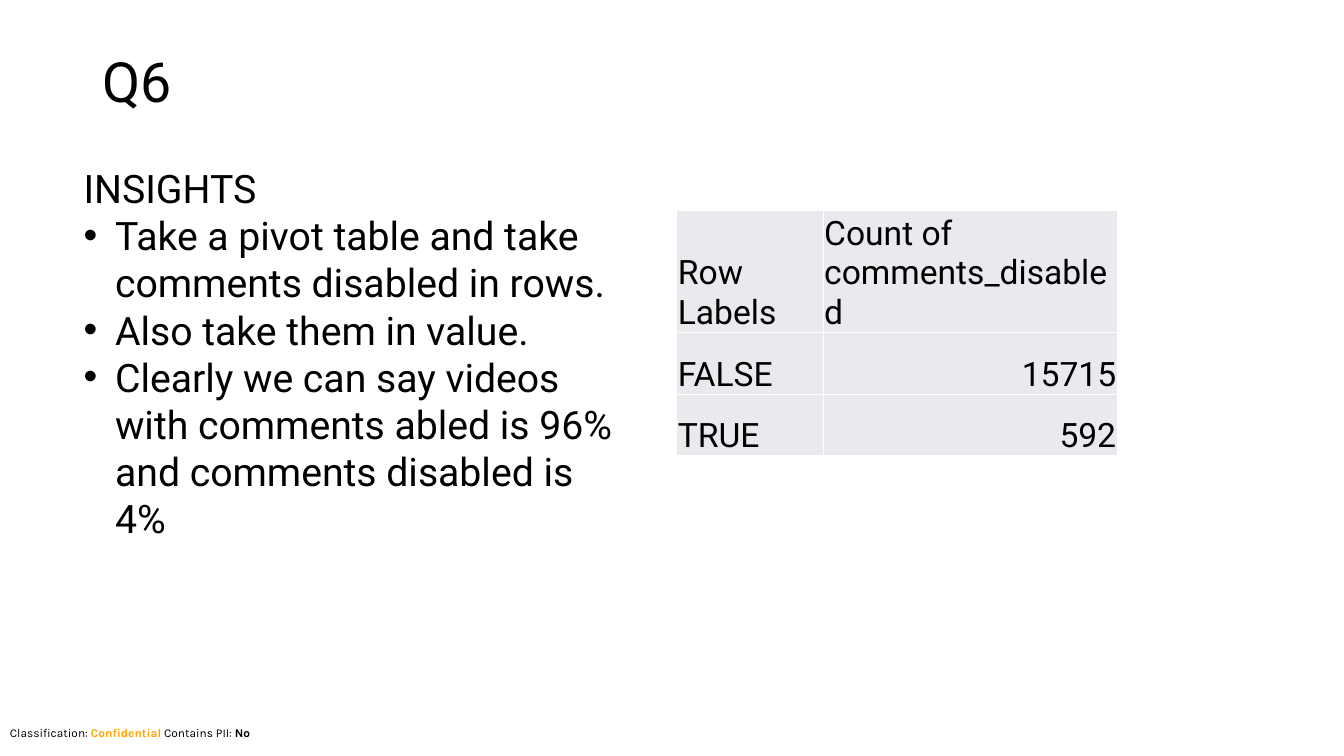
"""Build the Q6 slide: insights on the left, a small count table on the right."""
import lxml.etree
import pptx
import pptx.dml.color
import pptx.enum.text
import pptx.oxml.ns
import pptx.util

Pt = pptx.util.Pt
qn = pptx.oxml.ns.qn
ALIGN = pptx.enum.text.PP_ALIGN
ANCHOR = pptx.enum.text.MSO_ANCHOR
AUTO_SIZE = pptx.enum.text.MSO_AUTO_SIZE


def color(hex_string):
    return pptx.dml.color.RGBColor.from_string(hex_string)


class InsightSlide:
    font_name = "Roboto"
    text_color = "000000"
    cell_fill = "E8EAED"
    border_color = "FFFFFF"
    bullet_indent = Pt(22.5)

    def __init__(self, presentation):
        self.slide = presentation.slides.add_slide(presentation.slide_layouts[1])

    def place(self, shape, left, top, width, height):
        shape.left, shape.top = Pt(left), Pt(top)
        shape.width, shape.height = Pt(width), Pt(height)

    def style(self, font, size, name=font_name):
        font.name, font.size = name, Pt(size)
        font.color.rgb = color(self.text_color)

    def title(self, text, box, size):
        shape = self.slide.shapes.title
        self.place(shape, *box)
        shape.text_frame.text = text
        shape.text_frame.auto_size = AUTO_SIZE.NONE
        shape.text_frame.vertical_anchor = ANCHOR.MIDDLE
        paragraph = shape.text_frame.paragraphs[0]
        paragraph.alignment = ALIGN.LEFT
        paragraph.line_spacing = 0.9
        self.style(paragraph.font, size)

    def insights(self, heading, points, box, size):
        shape = self.slide.placeholders[1]
        self.place(shape, *box)
        frame = shape.text_frame
        frame.text = "\n".join([heading, *points])
        frame.auto_size = AUTO_SIZE.SHAPE_TO_FIT_TEXT
        for index, paragraph in enumerate(frame.paragraphs):
            paragraph.space_before = Pt(0)
            self.bullet(paragraph, index > 0)
            self.style(paragraph.font, size)

    def bullet(self, paragraph, visible):
        properties = paragraph._p.get_or_add_pPr()
        indent = self.bullet_indent if visible else 0
        properties.set("marL", str(indent))
        properties.set("indent", str(-indent))
        if visible:
            lxml.etree.SubElement(properties, qn("a:buFont"), typeface="Arial")
            lxml.etree.SubElement(properties, qn("a:buChar"), char="•")
        else:
            lxml.etree.SubElement(properties, qn("a:buNone"))

    def table(self, rows, left, top, column_widths, row_height, size):
        frame = self.slide.shapes.add_table(
            len(rows), len(column_widths), Pt(left), Pt(top),
            Pt(sum(column_widths)), Pt(row_height * len(rows)))
        table = frame.table
        table.first_row = table.horz_banding = False
        for column, width in zip(table.columns, column_widths):
            column.width = Pt(width)
        for row, values in zip(table.rows, rows):
            row.height = Pt(row_height)
            for cell, value in zip(row.cells, values):
                self.cell(cell, value, size)

    def cell(self, cell, value, size):
        cell.text = str(value)
        cell.vertical_anchor = ANCHOR.BOTTOM
        cell.margin_left = cell.margin_right = cell.margin_top = Pt(0.75)
        cell.margin_bottom = 0
        cell.fill.solid()
        cell.fill.fore_color.rgb = color(self.cell_fill)
        paragraph = cell.text_frame.paragraphs[0]
        paragraph.alignment = ALIGN.RIGHT if isinstance(value, int) else ALIGN.LEFT
        self.style(paragraph.font, size)
        properties = cell._tc.get_or_add_tcPr()
        for index, side in enumerate(("a:lnL", "a:lnR", "a:lnT", "a:lnB")):
            line = lxml.etree.Element(qn(side), w=str(Pt(1)))
            fill = lxml.etree.SubElement(line, qn("a:solidFill"))
            lxml.etree.SubElement(fill, qn("a:srgbClr"), val=self.border_color)
            properties.insert(index, line)

    def footer(self, parts, box, size):
        shape = self.slide.shapes.add_textbox(*map(Pt, box))
        frame = shape.text_frame
        frame.word_wrap = True
        frame.auto_size = AUTO_SIZE.SHAPE_TO_FIT_TEXT
        for text, bold, run_color in parts:
            run = frame.paragraphs[0].add_run()
            run.text = text
            self.style(run.font, size, "Karla")
            run.font.bold = bold
            run.font.color.rgb = color(run_color)


def main():
    presentation = pptx.Presentation()
    presentation.slide_width, presentation.slide_height = Pt(960), Pt(540)
    slide = InsightSlide(presentation)
    slide.title("Q6", (66, 29, 68, 63), 39.6)
    slide.insights("INSIGHTS", [
        "Take a pivot table and take comments disabled in rows.",
        "Also take them in value.",
        "Clearly we can say videos with comments abled is 96% and comments disabled is 4%",
    ], (52.5, 114, 404, 245), 28)
    slide.table([
        ("Row Labels", "Count of comments_disabled"),
        ("FALSE", 15715),
        ("TRUE", 592),
    ], 483.5, 150.5, (104.5, 210), 44, 24)
    slide.footer([
        ("Classification: ", False, "000000"),
        ("Confidential", True, "FFA500"),
        (" Contains PII: ", False, "000000"),
        ("No", True, "000000"),
    ], (0, 515, 960, 17), 8.5)
    presentation.save("out.pptx")


if __name__ == "__main__":
    main()
